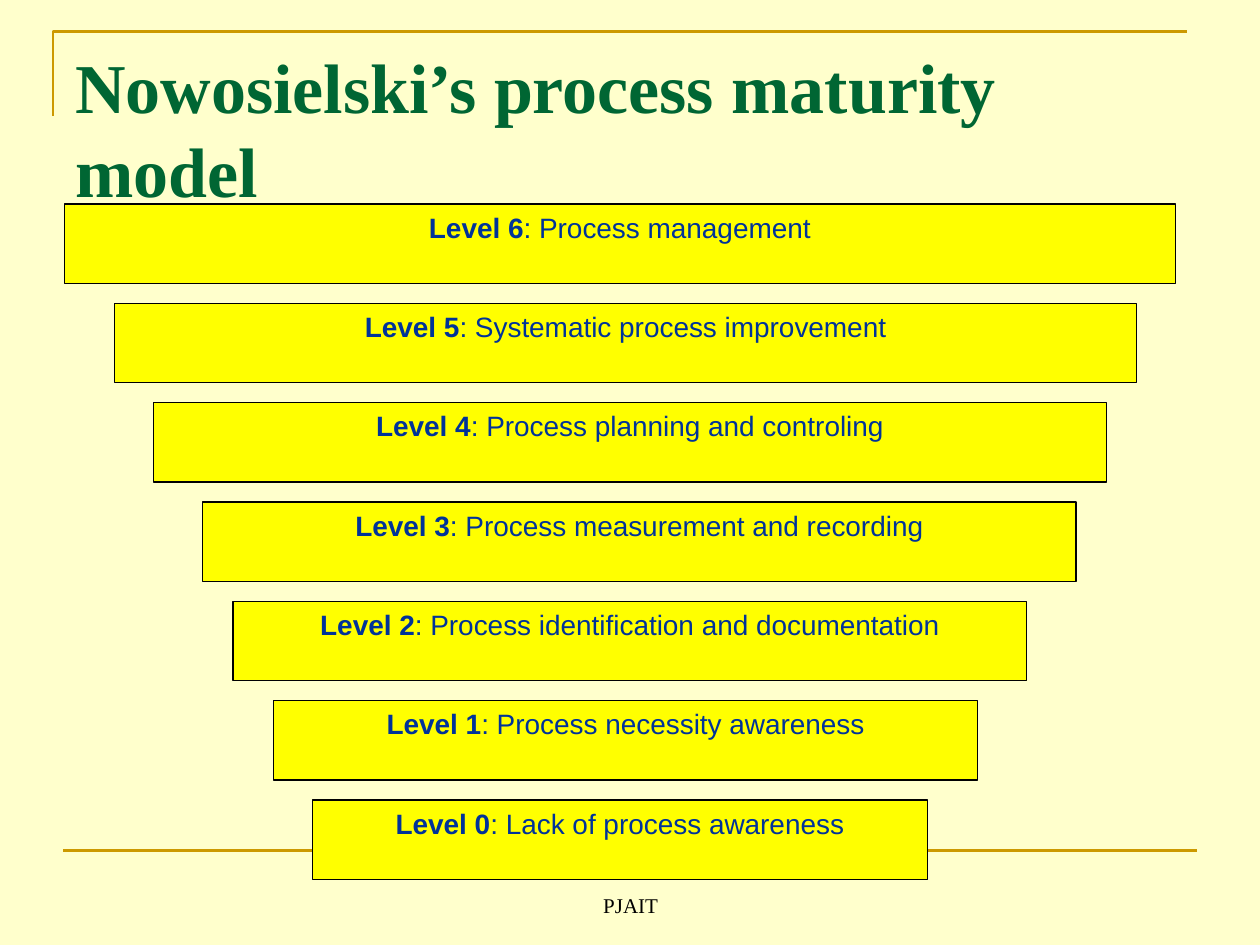
from dataclasses import dataclass

from lxml.etree import SubElement
from pptx import Presentation
from pptx.dml.color import RGBColor as RGB
from pptx.enum.shapes import MSO_CONNECTOR as CONN, MSO_SHAPE as SHAPE
from pptx.enum.text import MSO_ANCHOR as ANCHOR, PP_ALIGN as ALIGN
from pptx.oxml.ns import qn
from pptx.util import Inches, Pt


@dataclass(frozen=True)
class Theme:
    background: RGB = RGB.from_string("FFFFCC")
    rule: RGB = RGB.from_string("CC9900")
    title: RGB = RGB.from_string("006633")
    footer: RGB = RGB.from_string("000000")
    box: RGB = RGB.from_string("FFFF00")
    outline: RGB = RGB.from_string("000000")
    label: RGB = RGB.from_string("003399")
    serif: str = "Times New Roman"
    sans: str = "Arial"
    title_size: int = 40
    label_size: int = 16
    footer_size: int = 12
    rule_width: float = 1.5
    outline_width: float = 0.75


@dataclass(frozen=True)
class Level:
    number: int
    name: str
    left: float
    width: float


THEME = Theme()
LEVELS = [
    Level(0, "Lack of process awareness", 2.48, 4.88),
    Level(1, "Process necessity awareness", 2.17, 5.59),
    Level(2, "Process identification and documentation", 1.85, 6.3),
    Level(3, "Process measurement and recording", 1.61, 6.93),
    Level(4, "Process planning and controling", 1.22, 7.56),
    Level(5, "Systematic process improvement", 0.91, 8.11),
    Level(6, "Process management", 0.51, 8.82),
]
BOTTOM_LEVEL_TOP, TOP_LEVEL_TOP, LEVEL_HEIGHT = 6.35, 1.62, 0.63
PITCH = (BOTTOM_LEVEL_TOP - TOP_LEVEL_TOP) / (len(LEVELS) - 1)


def add_run(p, text: str, *, font: str, size: int, color: RGB, bold: bool = False) -> None:
    r = p.add_run()
    r.text = text
    r.font.name = font
    r.font.size = Pt(size)
    r.font.color.rgb = color
    r.font.bold = bold


def start_text(sp, align: ALIGN, anchor: ANCHOR = ANCHOR.TOP):
    tf = sp.text_frame
    tf.word_wrap = True
    tf.vertical_anchor = anchor
    p = tf.paragraphs[0]
    p.alignment = align
    return p


def style_line(sp, color: RGB, width: float) -> None:
    sp.line.color.rgb = color
    sp.line.width = Pt(width)


def draw_rules(s) -> None:
    builder = s.shapes.build_freeform(Inches(0.42), Inches(0.92))
    corner = [(Inches(0.42), Inches(0.25)), (Inches(9.42), Inches(0.25))]
    builder.add_line_segments(corner, close=False)
    sp = builder.convert_to_shape()
    sp.shadow.inherit = False
    sp.fill.background()
    style_line(sp, THEME.rule, THEME.rule_width)

    line = s.shapes.add_connector(
        CONN.STRAIGHT, Inches(0.5), Inches(6.75), Inches(9.5), Inches(6.75))
    style_line(line, THEME.rule, THEME.rule_width)
    SubElement(line._element.spPr, qn("a:effectLst"))


def draw_level(s, level: Level) -> None:
    top = BOTTOM_LEVEL_TOP - level.number * PITCH
    sp = s.shapes.add_shape(
        SHAPE.FLOWCHART_PROCESS, Inches(level.left), Inches(top),
        Inches(level.width), Inches(LEVEL_HEIGHT))
    sp.shadow.inherit = False
    sp.fill.solid()
    sp.fill.fore_color.rgb = THEME.box
    style_line(sp, THEME.outline, THEME.outline_width)
    p = start_text(sp, ALIGN.CENTER)
    style = dict(font=THEME.sans, size=THEME.label_size, color=THEME.label)
    add_run(p, f"Level {level.number}", bold=True, **style)
    add_run(p, f": {level.name}", **style)


def main() -> None:
    prs = Presentation()
    prs.slide_width, prs.slide_height = Inches(10), Inches(7.5)
    s = prs.slides.add_slide(prs.slide_layouts[6])
    s.background.fill.solid()
    s.background.fill.fore_color.rgb = THEME.background

    draw_rules(s)
    title = s.shapes.add_textbox(Inches(0.5), Inches(0.3), Inches(9), Inches(1.25))
    add_run(start_text(title, ALIGN.LEFT), "Nowosielski’s process maturity model",
            font=THEME.serif, size=THEME.title_size, color=THEME.title, bold=True)
    footer = s.shapes.add_textbox(Inches(3.42), Inches(6.83), Inches(3.17), Inches(0.5))
    add_run(start_text(footer, ALIGN.CENTER, ANCHOR.BOTTOM), "PJAIT",
            font=THEME.serif, size=THEME.footer_size, color=THEME.footer)
    for level in LEVELS:
        draw_level(s, level)

    prs.save("out.pptx")


if __name__ == "__main__":
    main()
